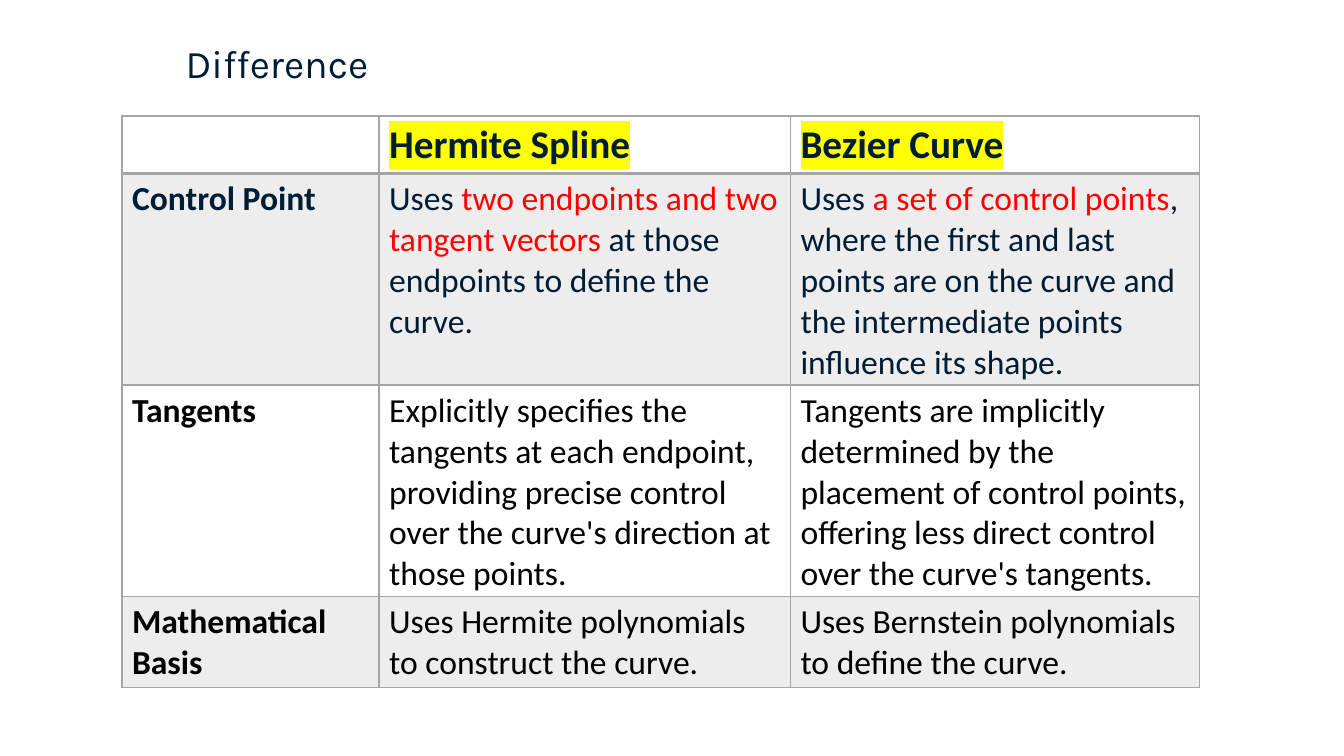
import pptx
import pptx.dml.color
import pptx.enum.text
import pptx.oxml.ns
import pptx.util
from lxml import etree

PX = 9144  # EMU per px, 100 px to the inch
COLORS = {"navy": "001D35", "red": "FF0000", "black": "000000", "yellow": "FFFF00",
          "grey": "A5A5A5", "band": "EDEDED"}

HEADER = {"size": 28, "bold": True, "color": "navy", "highlight": "yellow"}
NAVY = {"size": 24, "bold": False, "color": "navy"}
NAVY_BOLD = {**NAVY, "bold": True}
RED = {**NAVY, "color": "red"}
BLACK = {**NAVY, "color": "black"}
BLACK_BOLD = {**BLACK, "bold": True}

COLUMNS = [255, 408, 406]
ROW_HEIGHTS = [57, 210, 210, 90]
ROWS = [
    [[], [("Hermite Spline", HEADER)], [("Bezier Curve", HEADER)]],
    [[("Control Point", NAVY_BOLD)],
     [("Uses ", NAVY), ("two endpoints and two tangent vectors ", RED),
      ("at those endpoints to define the curve.", NAVY)],
     [("Uses ", NAVY), ("a set of control points", RED),
      (", where the first and last points are on the curve and the intermediate "
       "points influence its shape.", NAVY)]],
    [[("Tangents", BLACK_BOLD)],
     [("Explicitly specifies the tangents at each endpoint, providing precise control "
       "over the curve's direction at those points.", BLACK)],
     [("Tangents are implicitly determined by the placement of control points, "
       "offering less direct control over the curve's tangents.", BLACK)]],
    [[("Mathematical Basis", BLACK_BOLD)],
     [("Uses Hermite polynomials to construct the curve.", BLACK)],
     [("Uses Bernstein polynomials to define the curve.", BLACK)]],
]


def rgb(name):
    return pptx.dml.color.RGBColor.from_string(COLORS[name])


def add_element(parent, tag, **attributes):
    return etree.SubElement(parent, pptx.oxml.ns.qn(tag), attributes)


class Deck:
    def __init__(self, width, height):
        self.prs = pptx.Presentation()
        self.prs.slide_width = width * PX
        self.prs.slide_height = height * PX
        self.font = "Calibri"
        self.title_font = "Karla"

    def add_slide(self):
        self.s = self.prs.slides.add_slide(self.prs.slide_layouts[5])

    def run(self, p, text, style, font=None):
        r = p.add_run()
        r.text = text
        r.font.color.rgb = rgb(style["color"])
        if "highlight" in style:
            highlight = add_element(r.font._element, "a:highlight")
            add_element(highlight, "a:srgbClr", val=COLORS[style["highlight"]])
        values = {"name": font or self.font, "size": pptx.util.Pt(style["size"]),
                  "bold": style["bold"]}
        for name, value in values.items():
            setattr(r.font, name, value)

    def title(self, text, left, top, width, height):
        sp = self.s.shapes.title
        box = {"left": left, "top": top, "width": width, "height": height}
        for name, value in box.items():
            setattr(sp, name, value * PX)
        tf = sp.text_frame
        frame = {"word_wrap": True, "vertical_anchor": pptx.enum.text.MSO_ANCHOR.TOP,
                 "auto_size": pptx.enum.text.MSO_AUTO_SIZE.SHAPE_TO_FIT_TEXT}
        for name, value in frame.items():
            setattr(tf, name, value)
        p = tf.paragraphs[0]
        p.alignment = pptx.enum.text.PP_ALIGN.LEFT
        p.line_spacing = 1.0
        self.run(p, text, {"size": 28, "bold": False, "color": "navy"}, self.title_font)

    def borders(self, cell, heavy_sides):
        """Draw all four cell borders, 2 pt on heavy sides and 1 pt elsewhere."""
        tcPr = cell._tc.get_or_add_tcPr()
        for side in "LRTB":
            width = pptx.util.Pt(2 if side in heavy_sides else 1)
            line = add_element(tcPr, f"a:ln{side}", w=str(int(width)))
            fill = add_element(line, "a:solidFill")
            add_element(fill, "a:srgbClr", val=COLORS["grey"])

    def table(self, rows, columns, heights, left, top):
        box = [v * PX for v in (left, top, sum(columns), sum(heights))]
        table = self.s.shapes.add_table(len(rows), len(columns), *box).table
        table.first_row = table.horz_banding = False
        for column, width in zip(table.columns, columns):
            column.width = width * PX
        for row, height in zip(table.rows, heights):
            row.height = height * PX
        for i, row in enumerate(rows):
            for j, runs in enumerate(row):
                cell = table.cell(i, j)
                self.borders(cell, {0: "B", 1: "T"}.get(i, ""))
                if i % 2:
                    cell.fill.solid()
                    cell.fill.fore_color.rgb = rgb("band")
                else:
                    cell.fill.background()
                for text, style in runs:
                    self.run(cell.text_frame.paragraphs[0], text, style)


def main():
    deck = Deck(1333, 750)
    deck.add_slide()
    deck.title("Difference", 174, 34, 511, 57)
    deck.table(ROWS, COLUMNS, ROW_HEIGHTS, 121, 115)
    deck.prs.save("out.pptx")


if __name__ == "__main__":
    main()
